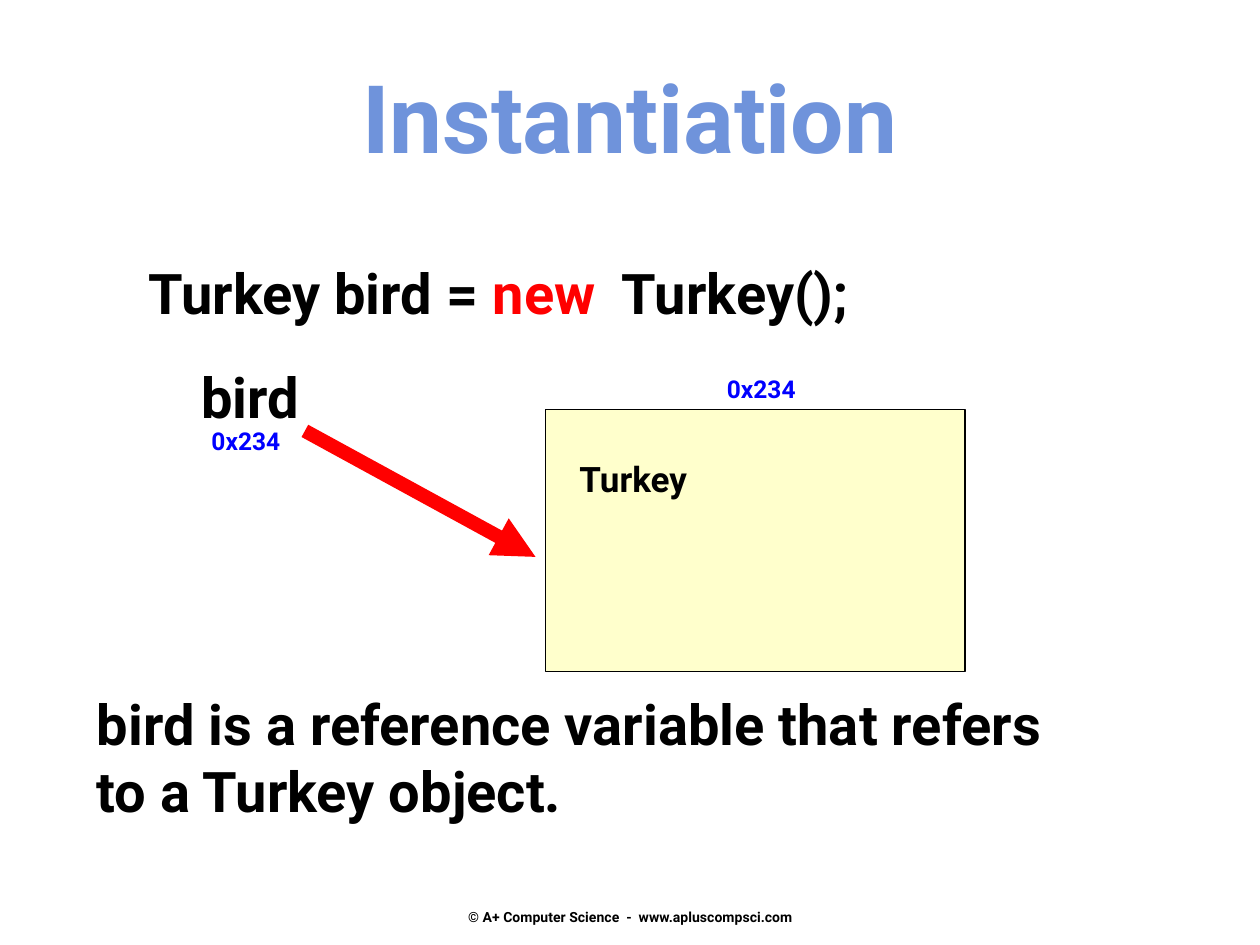
from lxml import etree
from pptx import Presentation
from pptx.dml.color import RGBColor
from pptx.enum.shapes import MSO_CONNECTOR as CONNECTOR, MSO_SHAPE as SHAPE
from pptx.enum.text import MSO_ANCHOR as ANCHOR, PP_ALIGN as ALIGN
from pptx.oxml.ns import qn
from pptx.util import Inches, Pt


def color(value):
    return RGBColor.from_string(value)


def add_text(left, top, width, height, lines, size, fill="000000", align=ALIGN.LEFT):
    box = slide.shapes.add_textbox(Inches(left), Inches(top), Inches(width), Inches(height))
    text_frame = box.text_frame
    text_frame.word_wrap = True
    text_frame.text = lines
    for paragraph in text_frame.paragraphs:
        paragraph.alignment = align
        for run in paragraph.runs:
            run.font.name = "Roboto"
            run.font.size = Pt(size)
            run.font.bold = True
            run.font.color.rgb = color(fill)
    return text_frame


presentation = Presentation()
presentation.slide_width = Inches(10)
presentation.slide_height = Inches(7.5)
slide = presentation.slides.add_slide(presentation.slide_layouts[6])

footer = add_text(3.42, 7.13, 3.17, 0.3, "© A+ Computer Science  -  www.apluscompsci.com", 8, align=ALIGN.CENTER)
footer.vertical_anchor = ANCHOR.MIDDLE

statement = add_text(1.08, 2, 6.75, 0.64, "Turkey bird = ", 32)
first_run = statement.paragraphs[0].runs[0]
for text, fill in [("new ", "FF0000"), (" Turkey();", "000000")]:
    run = statement.paragraphs[0].add_run()
    run.text = text
    run.font.name = first_run.font.name
    run.font.size = first_run.font.size
    run.font.bold = True
    run.font.color.rgb = color(fill)

turkey_object = slide.shapes.add_shape(SHAPE.RECTANGLE, Inches(4.33), Inches(3.25), Inches(3.33), Inches(2.08))
turkey_object.shadow.inherit = False
turkey_object.fill.solid()
turkey_object.fill.fore_color.rgb = color("FFFFCC")
turkey_object.line.color.rgb = color("000000")
turkey_object.line.width = Pt(1)

add_text(1.5, 2.83, 1.1, 0.64, "bird", 32)

reference = slide.shapes.add_connector(CONNECTOR.STRAIGHT, Inches(2.42), Inches(3.42), Inches(4.25), Inches(4.42))
reference.line.color.rgb = color("FF0000")
reference.line.width = Pt(8)
properties = reference.line.fill._xPr
etree.SubElement(properties, qn("a:tailEnd"), type="triangle")
etree.SubElement(properties.getparent(), qn("a:effectLst"))

add_text(0.67, 5.42, 8.74, 1.18, "bird is a reference variable that refers\nto a Turkey object.", 32)
for left, top in [(5.67, 2.92), (1.58, 3.33)]:
    add_text(left, top, 0.92, 0.33, "0x234", 14, "0000FF")
add_text(4.5, 3.58, 1.17, 0.44, "Turkey", 20)
add_text(0, 0.42, 10, 1.01, "Instantiation", 54, "6F93DB", ALIGN.CENTER)

presentation.save("out.pptx")
